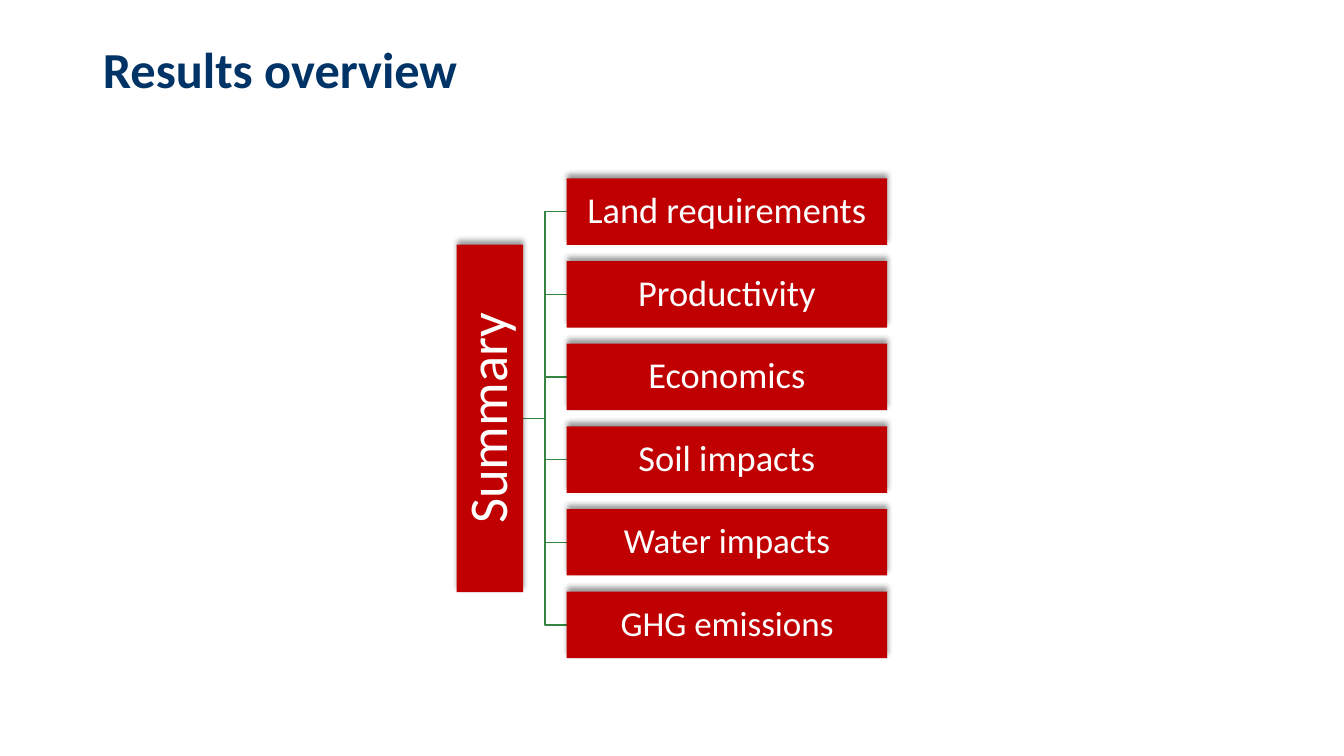
from dataclasses import dataclass

from lxml import etree
from pptx import Presentation, util as u
from pptx.dml.color import RGBColor
from pptx.enum import shapes, text
from pptx.oxml import ns

NAVY = RGBColor(0x00, 0x33, 0x66)
RED = RGBColor(0xC0, 0x00, 0x00)
GREEN = RGBColor(0x35, 0x85, 0x40)
WHITE = RGBColor(0xFF, 0xFF, 0xFF)
BLACK = RGBColor(0x00, 0x00, 0x00)
FONT = "Calibri"

# Grid of the tree: a summary column, a gutter for branches, a topic column
BAR = u.Inches(0.66)
GUTTER = u.Inches(0.43)
TOPIC_WIDTH = u.Inches(3.18)
SUMMARY_LENGTH = u.Inches(3.45)
SUMMARY_LEFT = u.Inches(4.53)
SUMMARY_RIGHT = SUMMARY_LEFT + BAR
TOPIC_LEFT = SUMMARY_RIGHT + GUTTER
FIRST_ROW = u.Inches(2.1)
ROW_STEP = u.Inches(0.82)


@dataclass(frozen=True)
class Label:
    words: str
    size: int
    inset: float = 0.02


SUMMARY = Label("Summary", 39, 0.03)
TOPICS = [
    Label("Land requirements", 26),
    Label("Productivity", 26),
    Label("Economics", 26),
    Label("Soil impacts", 26),
    Label("Water impacts", 25),
    Label("GHG emissions", 25),
]
MIDDLE = FIRST_ROW + ROW_STEP * (len(TOPICS) - 1) // 2


def row_centre(row: int) -> int:
    return FIRST_ROW + row * ROW_STEP


def add_span(para, words: str, size: int, color: RGBColor, bold: bool = False) -> None:
    para.line_spacing = 0.9
    span = para.add_run()
    span.text = words
    span.font.name = FONT
    span.font.size = u.Pt(size)
    span.font.bold = bold
    span.font.color.rgb = color


def add_shadow(box) -> None:
    """Cast a soft shadow upwards."""
    box.shadow.inherit = False
    effects = box.element.spPr.find(ns.qn("a:effectLst"))
    shadow = etree.SubElement(
        effects, ns.qn("a:outerShdw"), blurRad=str(u.Pt(4)), dist=str(u.Pt(3)),
        dir=str(270 * 60000), algn="ctr", rotWithShape="0")
    color = etree.SubElement(shadow, ns.qn("a:srgbClr"), val=str(BLACK))
    etree.SubElement(color, ns.qn("a:alpha"), val="40000")


def add_box(page, label: Label, centre_x: int, centre_y: int, width: int,
            rotation: int = 0) -> None:
    box = page.shapes.add_shape(
        shapes.MSO_SHAPE.RECTANGLE, centre_x - width // 2, centre_y - BAR // 2, width, BAR)
    box.rotation = rotation
    box.fill.solid()
    box.fill.fore_color.rgb = RED
    box.line.fill.background()
    add_shadow(box)
    frame = box.text_frame
    frame.word_wrap = True
    frame.vertical_anchor = text.MSO_ANCHOR.MIDDLE
    frame.margin_left = frame.margin_right = u.Inches(label.inset)
    frame.margin_top = frame.margin_bottom = u.Inches(label.inset)
    para = frame.paragraphs[0]
    para.alignment = text.PP_ALIGN.CENTER
    add_span(para, label.words, label.size, WHITE)


def add_branch(page, row: int) -> None:
    """Run from the summary bar to the topic in the given row."""
    bend = SUMMARY_RIGHT + GUTTER // 2
    outline = page.shapes.build_freeform(SUMMARY_RIGHT, MIDDLE)
    outline.add_line_segments(
        [(bend, MIDDLE), (bend, row_centre(row)), (TOPIC_LEFT, row_centre(row))], close=False)
    branch = outline.convert_to_shape()
    branch.fill.background()
    branch.line.color.rgb = GREEN
    branch.line.width = u.Pt(1)
    branch.shadow.inherit = False


def main() -> None:
    deck = Presentation()
    deck.slide_width, deck.slide_height = u.Inches(13.33), u.Inches(7.5)
    page = deck.slides.add_slide(deck.slide_layouts[5])

    # Title
    title = page.shapes.title
    title.left, title.top = u.Inches(0.92), u.Inches(0.4)
    title.width, title.height = u.Inches(11.5), u.Inches(1.15)
    title.text_frame.vertical_anchor = text.MSO_ANCHOR.TOP
    heading = title.text_frame.paragraphs[0]
    heading.alignment = text.PP_ALIGN.LEFT
    add_span(heading, "Results overview", 36, NAVY, bold=True)

    # Branches behind the boxes
    for row in reversed(range(len(TOPICS))):
        add_branch(page, row)

    # Summary bar, then one box per topic
    add_box(page, SUMMARY, SUMMARY_LEFT + BAR // 2, MIDDLE, SUMMARY_LENGTH, rotation=270)
    for row, topic in enumerate(TOPICS):
        add_box(page, topic, TOPIC_LEFT + TOPIC_WIDTH // 2, row_centre(row), TOPIC_WIDTH)

    deck.save("out.pptx")


if __name__ == "__main__":
    main()
